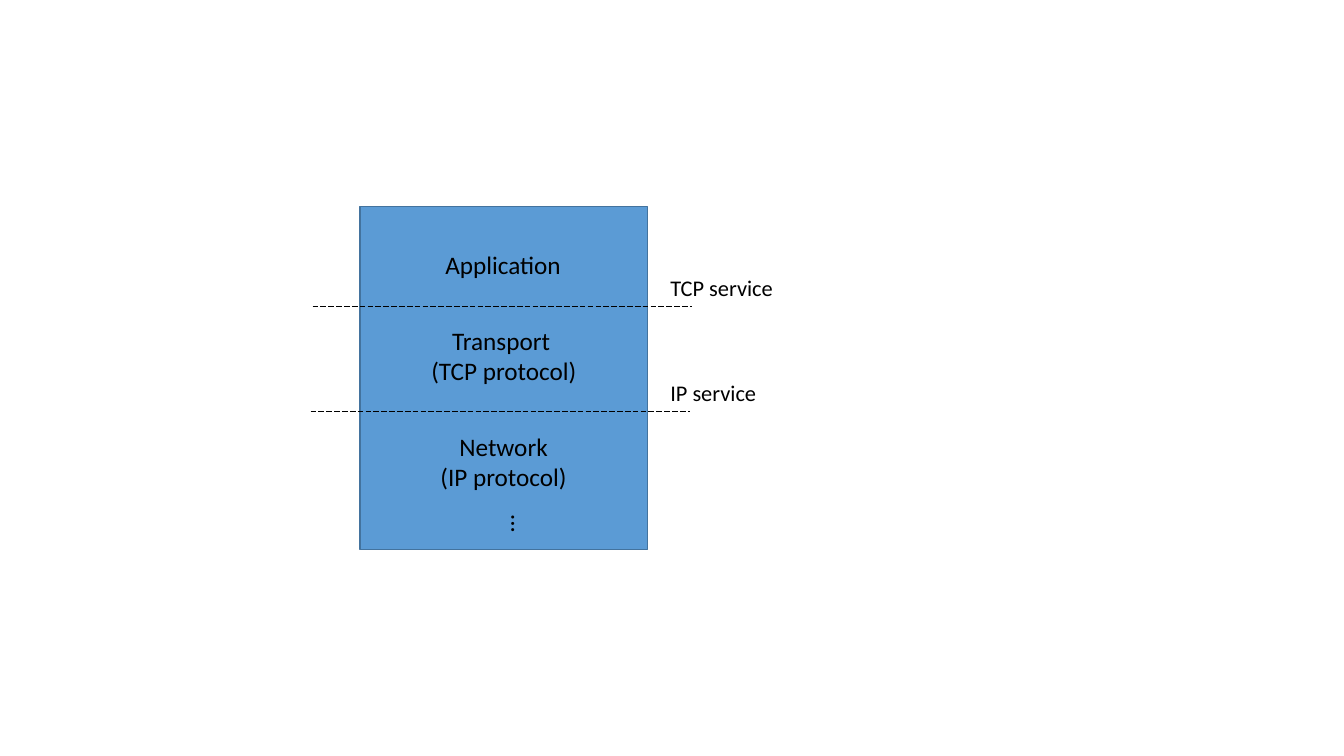
from lxml.etree import SubElement
from pptx import Presentation
from pptx.dml.color import RGBColor
from pptx.enum.dml import MSO_LINE
from pptx.enum.shapes import MSO_CONNECTOR, MSO_SHAPE
from pptx.enum.text import MSO_AUTO_SIZE, PP_ALIGN
from pptx.oxml.ns import qn
from pptx.util import Inches, Pt

STACK = (3.57, 2.05, 2.85, 3.4)
LAYERS = [
    (["Application"], (4.31, 2.42, 1.36, 0.4)),
    (["Transport", " (TCP protocol)"], (4.11, 3.18, 1.72, 0.71)),
    (["Network", "(IP protocol)"], (4.26, 4.23, 1.47, 0.71)),
]
MORE_LAYERS = (["…"], (4.81, 5, 0.38, 0.4))
SERVICES = [
    ("TCP service", 1.23, 3.1, 3.04),
    ("IP service", 1.06, 3.08, 4.08),
]
BOUNDARY_LENGTH = 3.76
SERVICE_LEFT, SERVICE_HEIGHT = 6.55, 0.37


def color(value):
    return RGBColor.from_string(value)


def add_label(slide, lines, box, size=18, align=PP_ALIGN.CENTER):
    label = slide.shapes.add_textbox(*map(Inches, box))
    frame = label.text_frame
    frame.word_wrap = False
    frame.auto_size = MSO_AUTO_SIZE.SHAPE_TO_FIT_TEXT
    frame.text = "\n".join(lines)
    for paragraph in frame.paragraphs:
        paragraph.alignment = align
        paragraph.font.name = "Calibri"
        paragraph.font.size = Pt(size)
        paragraph.font.color.rgb = color("000000")
    return label


def add_boundary(slide, left, top):
    boundary = slide.shapes.add_connector(
        MSO_CONNECTOR.STRAIGHT,
        *map(Inches, (left, top, left + BOUNDARY_LENGTH, top)))
    boundary.line.color.rgb = color("000000")
    boundary.line.width = Pt(0.5)
    boundary.line.dash_style = MSO_LINE.LONG_DASH
    SubElement(boundary._element.spPr, qn("a:effectLst"))


def main():
    """Build the protocol stack slide with its service boundaries."""
    deck = Presentation()
    deck.slide_width, deck.slide_height = Inches(13.33), Inches(7.5)
    slide = deck.slides.add_slide(deck.slide_layouts[6])

    stack = slide.shapes.add_shape(MSO_SHAPE.RECTANGLE, *map(Inches, STACK))
    stack.shadow.inherit = False
    stack.fill.solid()
    stack.fill.fore_color.rgb = color("5B9BD5")
    stack.line.color.rgb = color("43739E")
    stack.line.width = Pt(1)

    for lines, box in LAYERS:
        add_label(slide, lines, box)
    for service, width, left, top in SERVICES:
        add_boundary(slide, left, top)
        box = (SERVICE_LEFT, top - SERVICE_HEIGHT, width, SERVICE_HEIGHT)
        add_label(slide, [service], box, 16, PP_ALIGN.LEFT)
    add_label(slide, *MORE_LAYERS).rotation = 270

    deck.save("out.pptx")


main()
